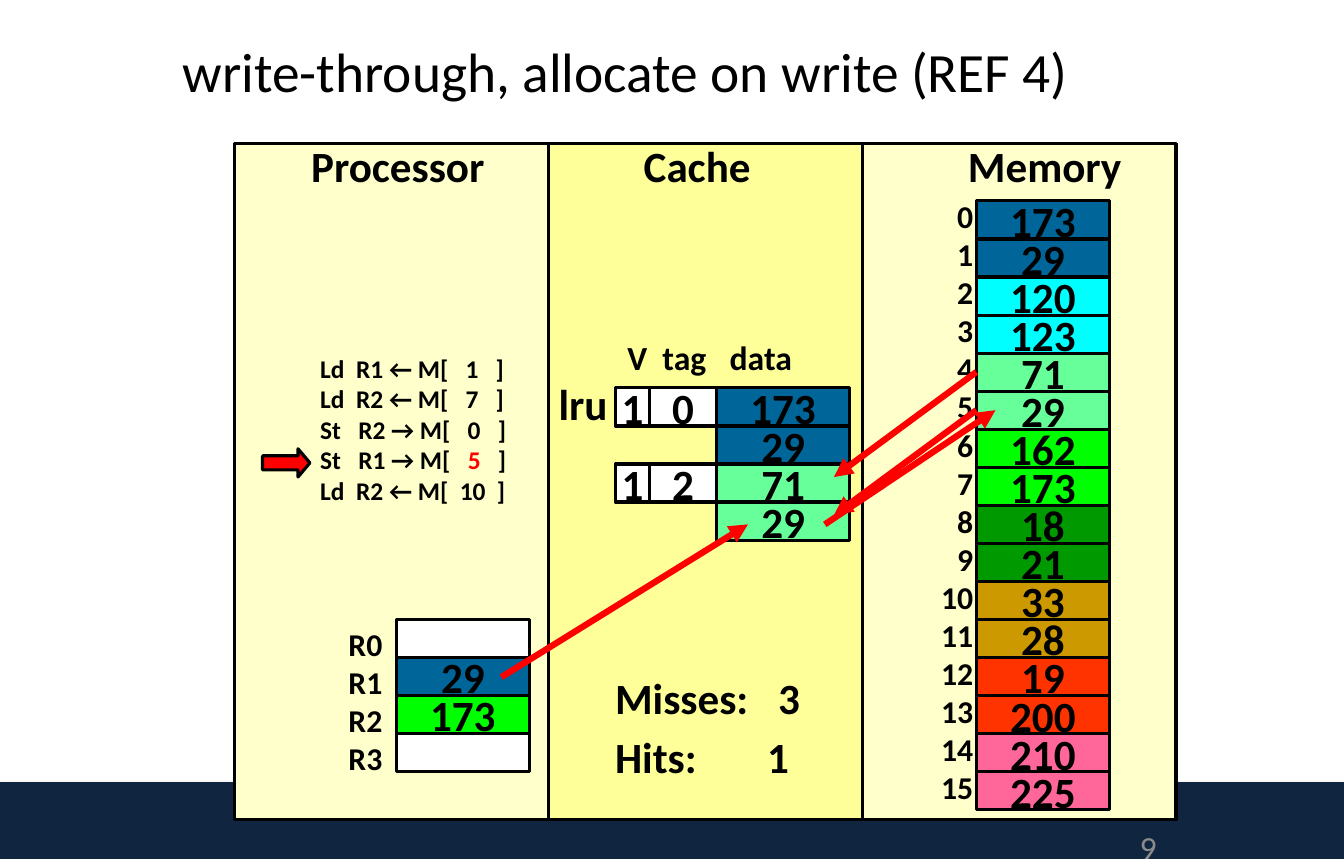
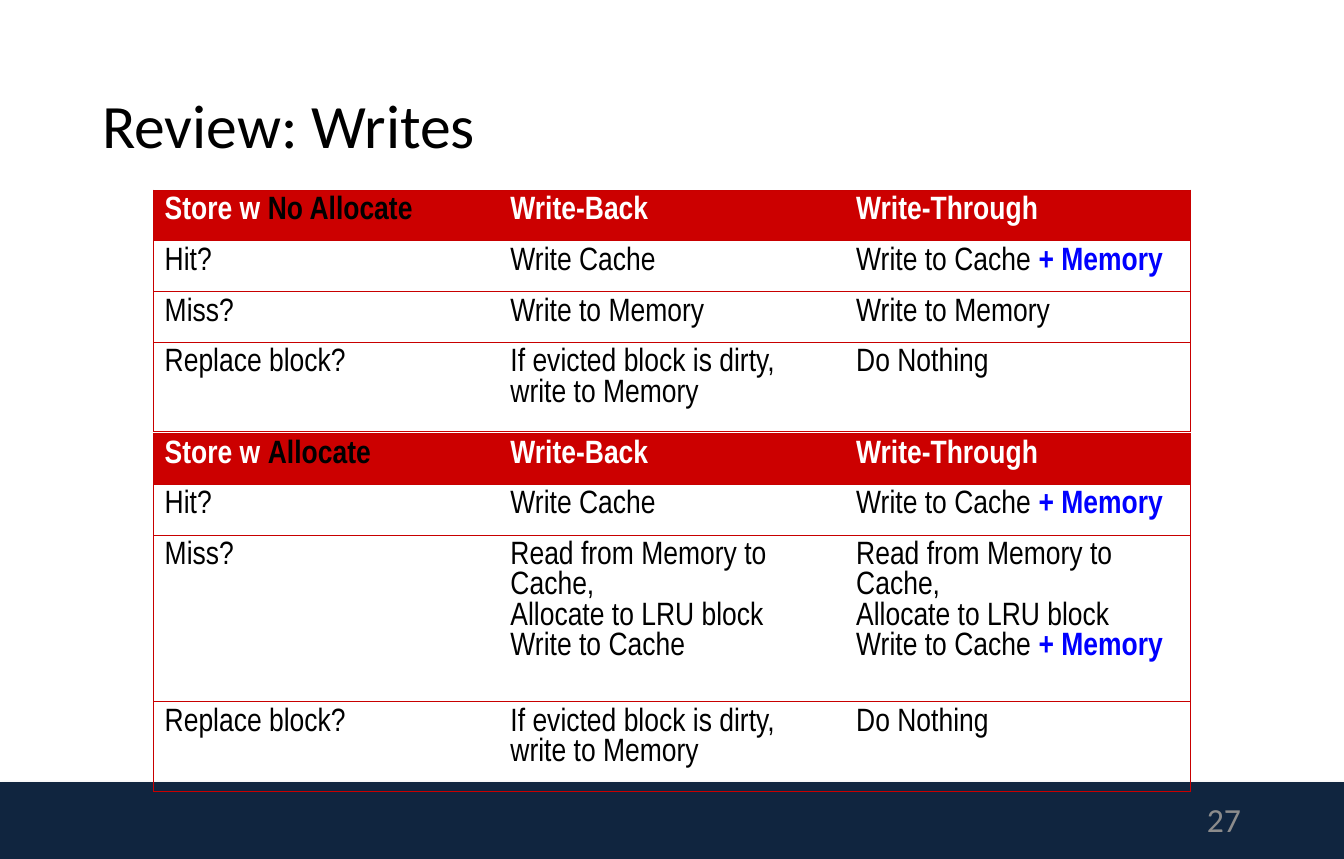
from lxml.etree import SubElement
from pptx import Presentation
from pptx.dml.color import RGBColor
from pptx.enum.shapes import MSO_CONNECTOR, MSO_SHAPE
from pptx.enum.text import MSO_ANCHOR, MSO_AUTO_SIZE, PP_ALIGN
from pptx.oxml import parse_xml
from pptx.oxml.ns import nsdecls, qn
from pptx.util import Cm, Pt

BLACK, WHITE, RED, BLUE = "000000", "FFFFFF", "FF0000", "0000FF"
NAVY, GRAY, CRIMSON, BORDER = "10253F", "8C8C8C", "CC0000", "C80000"
PALE, YELLOW = "FFFFCC", "FFFF99"
TEAL, CYAN, MINT, LIME = "006699", "00FFFF", "66FF99", "00FF00"
GREEN, OCHRE, ORANGE, PINK = "009900", "CC9900", "FF3300", "FF6699"
NO_STYLE = "{2D5ABB26-0587-4C30-8999-92F81FD0307C}"
hex_color = RGBColor.from_string


def write(frame, lines, size=30.7, color=BLACK, bold=True, font="Calibri", accent=RED,
          align=PP_ALIGN.LEFT, spacing=None, gap=0, tabs=()):
    """Fill a text frame; the parts between bars are bold in the accent colour.

    tabs holds the tab stops of each line in cm, gap the points between paragraphs.
    """
    for number, line in enumerate(lines):
        para = frame.add_paragraph() if number else frame.paragraphs[0]
        para.alignment = align
        if spacing:
            para.line_spacing = spacing
        if number and gap:
            para.space_before = Pt(gap)
        if tabs:
            tab_list = SubElement(para._p.get_or_add_pPr(), qn("a:tabLst"))
            for stop in tabs[number]:
                SubElement(tab_list, qn("a:tab"), pos=str(Cm(stop)), algn="l")
        for position, text in enumerate(line.split("|")):
            if not text:
                continue
            accented = position % 2 == 1
            span = para.add_run()
            span.text = text
            span.font.name = font
            span.font.size = Pt(size)
            span.font.bold = bold or accented
            span.font.color.rgb = hex_color(accent if accented else color)


def draw_box(page, left, top, width, height, fill, text="", kind=MSO_SHAPE.RECTANGLE):
    box = page.shapes.add_shape(kind, Cm(left), Cm(top), Cm(width), Cm(height))
    box.shadow.inherit = False
    box.fill.solid()
    box.fill.fore_color.rgb = hex_color(fill)
    box.line.color.rgb = hex_color(BLACK)
    box.line.width = Pt(2.25)
    if text:
        box.text_frame.word_wrap = False
        box.text_frame.vertical_anchor = MSO_ANCHOR.MIDDLE
        write(box.text_frame, [text], align=PP_ALIGN.CENTER)
    return box


deck = Presentation()
deck.slide_width, deck.slide_height = Cm(33.78), Cm(21.59)
title_only = deck.slide_layouts[5]

# Shared parts: titles, page numbers and the footer band on the master
pages = []
for title, title_area, title_size, number, number_area in [
    ("write-through, allocate on write (REF 4)", (4.34, 0.99, 25.12, 1.75), 39.5,
     "9", (24.54, 20.55, 4.78, 1.5)),
    ("Review: Writes", (2.31, 1.14, 29.13, 4.17), 43.9,
     "27", (23.85, 20.02, 7.59, 1.14)),
]:
    page = deck.slides.add_slide(title_only)
    pages.append(page)
    heading = page.shapes.title
    heading.left, heading.top, heading.width, heading.height = map(Cm, title_area)
    heading.text_frame.auto_size = MSO_AUTO_SIZE.NONE
    heading.text_frame.vertical_anchor = MSO_ANCHOR.MIDDLE
    write(heading.text_frame, [title], size=title_size, bold=False, spacing=0.9)
    page_number = page.shapes.add_textbox(*map(Cm, number_area)).text_frame
    page_number.word_wrap = True
    page_number.vertical_anchor = MSO_ANCHOR.MIDDLE
    write(page_number, [number], size=24, color=GRAY, bold=False, align=PP_ALIGN.RIGHT)
cache_page, review_page = pages

band = draw_box(cache_page, 0, 19.66, 33.78, 1.93, NAVY)
band.line.fill.background()
band.element.spPr.find(qn("a:effectLst")).append(parse_xml(
    f'<a:outerShdw {nsdecls("a")} blurRad="{Pt(3.1)}" dist="{Pt(1.8)}" dir="5400000">'
    '<a:srgbClr val="808080"><a:alpha val="35000"/></a:srgbClr></a:outerShdw>'))
deck.slide_master.shapes.element.insert(2, band.element)

# Slide 1: processor, cache and memory
panel_width = 7.89
for column, panel_fill in enumerate([PALE, YELLOW, PALE]):
    draw_box(cache_page, 5.89 + column * panel_width, 3.61, panel_width, 16.99, panel_fill)

row_height = 14.35 / 15
word_width = 3.35
cache_top = 9.75
memory_values = [173, 29, 120, 123, 71, 29, 162, 173, 18, 21, 33, 28, 19, 200, 210, 225]
block_fills = [TEAL, CYAN, MINT, LIME, GREEN, OCHRE, ORANGE, PINK]
memory_words = [(str(value), block_fills[address // 2])
                for address, value in enumerate(memory_values)]
register_words = [("", WHITE), ("29", TEAL), ("173", LIME), ("", WHITE)]
cache_words = [("173", TEAL), ("29", TEAL), ("71", MINT), ("29", MINT)]
for left, top, words in [(24.54, 5.05, memory_words), (9.96, 15.57, register_words),
                         (18.01, cache_top, cache_words)]:
    for row, (value, fill) in enumerate(words):
        draw_box(cache_page, left, top + row * row_height, word_width, row_height, fill, value)
for block, tag in enumerate(["0", "2"]):
    block_top = cache_top + 2 * block * row_height
    draw_box(cache_page, 15.47, block_top, 0.86, row_height, WHITE, "1")
    draw_box(cache_page, 16.33, block_top, 1.68, row_height, WHITE, tag)

program = ["Ld  R1 ← M[   1   ]", "Ld  R2 ← M[   7   ]", "St   R2 → M[   0   ]",
           "St   R1 → M[   |5|   ]", "Ld  R2 ← M[  10  ]"]
for lines, area, style in [
    (["Processor"], (7.57, 3.38, 4.93, 1.57), {}),
    (["Cache"], (15.93, 3.38, 3.23, 1.57), {}),
    (["Memory"], (24.08, 3.38, 4.42, 1.57), {}),
    (["lru"], (13.79, 9.35, 1.75, 1.57), {}),
    (program, (7.8, 8.74, 5.28, 4.11), {"size": 18.1}),
    (["R0", "R1", "R2", "R3"], (8.51, 15.57, 1.37, 4.11), {"size": 22.6}),
    ([str(address) for address in range(16)], (23.39, 4.83, 1.32, 15.72),
     {"size": 22.6, "align": PP_ALIGN.RIGHT}),
    (["V\ttag\tdata"], (15.52, 8.33, 5, 1.27), {"size": 24, "tabs": [(0.88, 2.57)]}),
    (["Misses:\t3", "Hits:\t1"], (15.21, 16.76, 5.6, 3.12),
     {"gap": 5, "tabs": [(4.1,), (3.82,)]}),
]:
    label = cache_page.shapes.add_textbox(*map(Cm, area)).text_frame
    label.word_wrap = "tabs" in style
    label.auto_size = MSO_AUTO_SIZE.SHAPE_TO_FIT_TEXT
    write(label, lines, **style)

pointer = draw_box(cache_page, 6.6, 11.28, 1.19, 0.71, RED, kind=MSO_SHAPE.RIGHT_ARROW)
pointer.adjustments[0], pointer.adjustments[1] = 0.5, 0.42

for ends in [(12.6, 17.02, 18.8, 13.18), (20.73, 13.18, 25.02, 10.31),
             (24.54, 9.35, 20.96, 11.99), (24.54, 10.31, 20.96, 12.95)]:
    arrow = cache_page.shapes.add_connector(MSO_CONNECTOR.STRAIGHT, *map(Cm, ends))
    arrow.line.color.rgb = hex_color(RED)
    arrow.line.width = Pt(4.5)
    SubElement(arrow.line._get_or_add_ln(), qn("a:tailEnd"), type="triangle")
    SubElement(arrow.element.spPr, qn("a:effectLst"))

# Slide 2: one table for each allocation policy
column_width = 8.69
hit_row = ["Hit?", "Write Cache", "Write to Cache |+ Memory"]
replace_row = ["Replace block?", "If evicted block is dirty,\nwrite to Memory", "Do Nothing"]
fetch = "Read from Memory to Cache,\nAllocate to LRU block\nWrite to Cache"
for top, policy, miss_row, miss_height in [
    (4.78, "No Allocate", ["Miss?", "Write to Memory", "Write to Memory"], 1.26),
    (10.9, "Allocate", ["Miss?", fetch, fetch + " |+ Memory"], 4.19),
]:
    rows = [[f"Store w |{policy}", "Write-Back", "Write-Through"],
            hit_row, miss_row, replace_row]
    heights = [1.26, 1.26, miss_height, 2.24]
    table = review_page.shapes.add_table(
        4, 3, Cm(3.86), Cm(top), Cm(3 * column_width), Cm(sum(heights))).table
    table.first_row = table.horz_banding = False
    table._tbl.tblPr.find(qn("a:tableStyleId")).text = NO_STYLE
    for column in table.columns:
        column.width = Cm(column_width)
    for row_index, (texts, height) in enumerate(zip(rows, heights)):
        table.rows[row_index].height = Cm(height)
        header = row_index == 0
        for column_index, text in enumerate(texts):
            cell = table.cell(row_index, column_index)
            cell.margin_left = cell.margin_right = Cm(0.28)
            cell.margin_top = cell.margin_bottom = Cm(0.15)
            sides = [["L"], [], ["R"]][column_index] + ["T", "B"]
            for side in sides:
                cell._tc.get_or_add_tcPr().append(parse_xml(
                    f'<a:ln{side} {nsdecls("a")} w="{Pt(0.75)}"><a:solidFill>'
                    f'<a:srgbClr val="{BORDER}"/></a:solidFill></a:ln{side}>'))
            if header:
                cell.fill.solid()
                cell.fill.fore_color.rgb = hex_color(CRIMSON)
            else:
                cell.fill.background()
            write(cell.text_frame, text.split("\n"), size=23, font="Arial Narrow",
                  bold=header, color=WHITE if header else BLACK,
                  accent=BLACK if header else BLUE)

deck.save("out.pptx")
